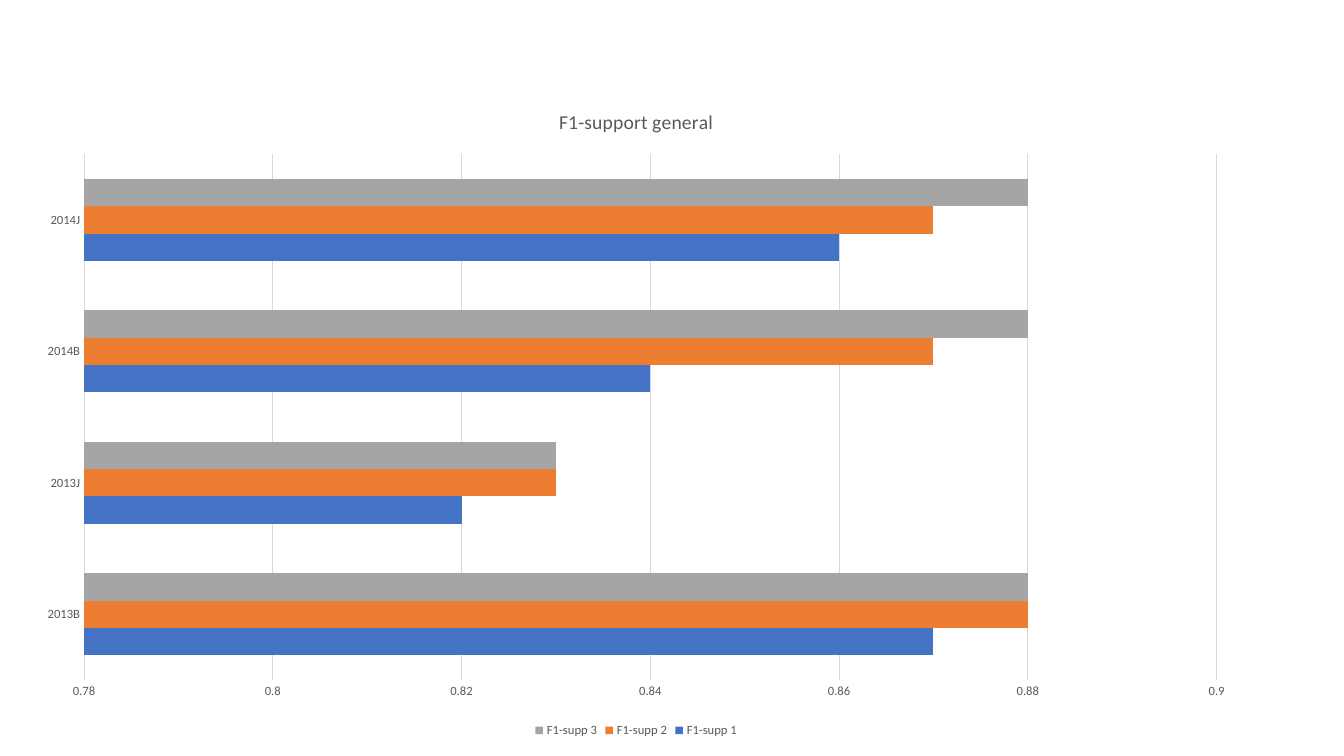
from pptx import Presentation
from pptx.chart.data import CategoryChartData
from pptx.dml.color import RGBColor
from pptx.enum.chart import XL_CHART_TYPE, XL_LEGEND_POSITION, XL_TICK_MARK
from pptx.util import Inches, Pt

COLORS = {"text": "595959", "rule": "D9D9D9"}
TERMS = ["2013B", "2013J", "2014B", "2014J"]
SUPPORT_SCORES = {
    "F1-supp 1": ([0.87, 0.82, 0.84, 0.86], "4472C4"),
    "F1-supp 2": ([0.88, 0.83, 0.87, 0.87], "ED7D31"),
    "F1-supp 3": ([0.88, 0.83, 0.88, 0.88], "A5A5A5"),
}


def style_font(font, size):
    """Set the chart's regular grey Calibri at the given size."""
    font.name = "Calibri"
    font.size = Pt(size)
    font.bold = False
    font.color.rgb = RGBColor.from_string(COLORS["text"])


def style_rule(line):
    """Set the thin light grey line of axes and gridlines."""
    line.width = Pt(0.75)
    line.color.rgb = RGBColor.from_string(COLORS["rule"])


def style_axes(chart):
    """Format the term axis and the score axis."""
    terms, scores = chart.category_axis, chart.value_axis
    for axis in (terms, scores):
        axis.major_tick_mark = axis.minor_tick_mark = XL_TICK_MARK.NONE
        style_font(axis.tick_labels.font, 9)
    style_rule(terms.format.line)
    scores.format.line.fill.background()
    style_rule(scores.major_gridlines.format.line)
    scores.minimum_scale, scores.maximum_scale = 0.78, 0.9
    scores.major_unit = 0.02
    scores.tick_labels.number_format = "General"
    scores.tick_labels.number_format_is_linked = False


def add_support_chart(slide, left, top, width, height):
    """Add the F1 support bar chart in the given box."""
    data = CategoryChartData()
    data.categories = TERMS
    for name, (scores, _) in SUPPORT_SCORES.items():
        data.add_series(name, scores)
    chart = slide.shapes.add_chart(
        XL_CHART_TYPE.BAR_CLUSTERED, left, top, width, height, data).chart
    style_font(chart.font, 10)

    chart.has_title = True
    heading = chart.chart_title.text_frame
    heading.text = "F1-support general"
    style_font(heading.paragraphs[0].font, 14)
    chart.chart_title.include_in_layout = False

    chart.has_legend = True
    chart.legend.position = XL_LEGEND_POSITION.BOTTOM
    chart.legend.include_in_layout = False
    style_font(chart.legend.font, 9)

    style_axes(chart)
    bars = chart.plots[0]
    bars.gap_width = 182
    bars.vary_by_categories = False
    for series, (_, color) in zip(bars.series, SUPPORT_SCORES.values()):
        series.format.fill.solid()
        series.format.fill.fore_color.rgb = RGBColor.from_string(color)


def main():
    """Build the one-slide deck."""
    deck = Presentation()
    deck.slide_width, deck.slide_height = Inches(13.33), Inches(7.5)
    slide = deck.slides.add_slide(deck.slide_layouts[6])
    add_support_chart(slide, Inches(0.23), Inches(0.86), Inches(12.16), Inches(6.5))
    deck.save("out.pptx")


main()
